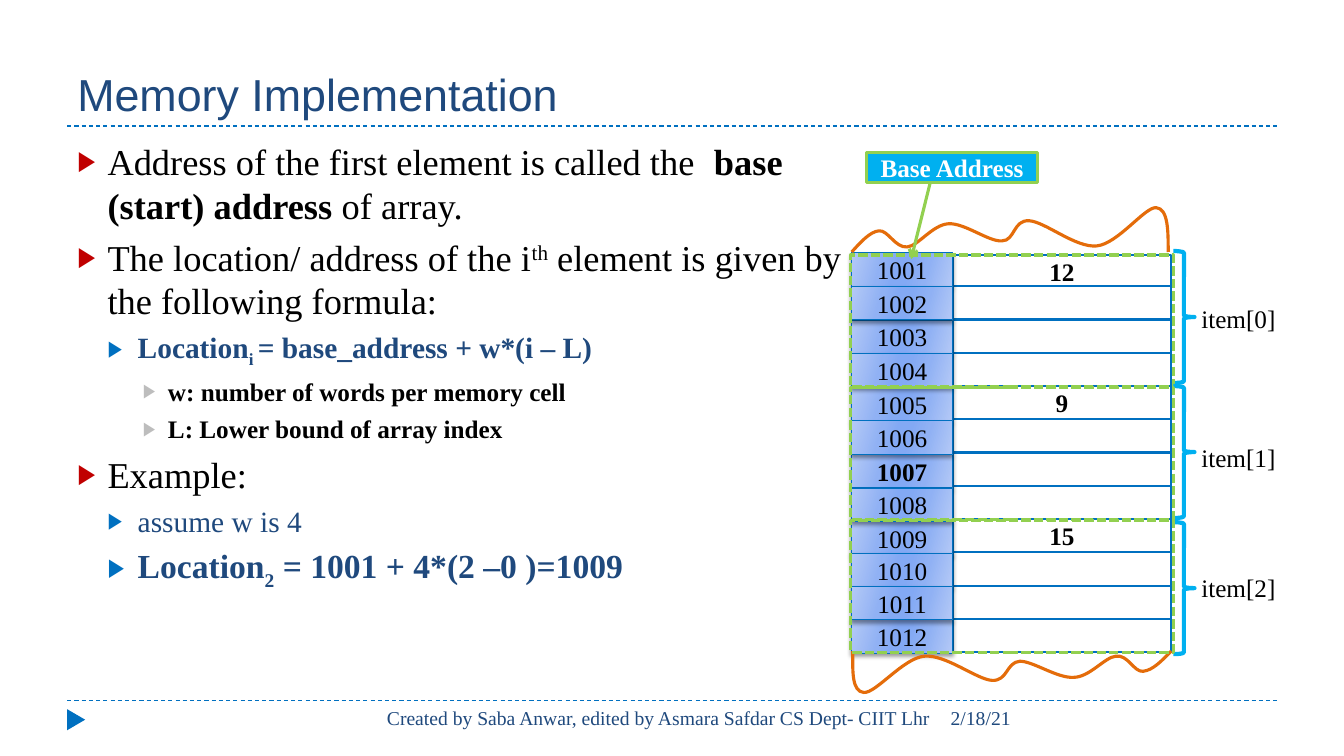
from dataclasses import dataclass
from typing import NamedTuple

import lxml.etree
import pptx
import pptx.dml.color
import pptx.enum.dml
import pptx.enum.shapes
import pptx.enum.text
import pptx.oxml.ns
import pptx.util

Inches, Pt, qn = pptx.util.Inches, pptx.util.Pt, pptx.oxml.ns.qn
SHAPE = pptx.enum.shapes.MSO_SHAPE
DASH = pptx.enum.dml.MSO_LINE
ALIGN = pptx.enum.text.PP_ALIGN
ANCHOR = pptx.enum.text.MSO_ANCHOR

COLORS = {
    "navy": "1F497D", "blue": "0070C0", "sky": "00B0F0", "green": "92D050",
    "orange": "E46C0A", "red": "C00000", "gray": "BDBDBD", "black": "000000",
    "white": "FFFFFF", "pale": "B4C9F6", "mid": "90B1F4", "deep": "83A9F4",
}
ADDRESS_STOPS = [(0, "pale"), (30, "mid"), (45, "deep"), (55, "deep"), (73, "mid"), (100, "pale")]
MARGIN = 2 / 3


class Level(NamedTuple):
    """Bullet format of one outline level, in inches and points."""
    indent: float
    hanging: float
    before: int
    bullet: str


@dataclass
class Point:
    """One bulleted line; a run is a text, its baseline shift and maybe a bold mark."""
    level: int
    runs: list
    size: int
    color: str = "black"
    bold: bool = False


class Item(NamedTuple):
    """One array element and the tops of its frame, brace and label."""
    label: str
    value: str
    frame_top: float
    brace_top: float
    label_top: float


LEVELS = [Level(0.3, 0.3, 6, "red"), Level(0.6, 0.3, 5, "blue"), Level(0.9, 0.25, 5, "gray")]
POINTS = [
    Point(0, [("Address of the first element is called the  ", 0), ("base (start) address ", 0, True),
              ("of array.", 0)], 26),
    Point(0, [("The location/ address of the i", 0), ("th", 30),
              (" element is given by the following formula:", 0)], 26),
    Point(1, [("Location", 0), ("i ", -25), ("= base_address + w*(i – L)", 0)], 21, "navy", True),
    Point(2, [("w: number of words per memory cell ", 0)], 18, bold=True),
    Point(2, [("L: Lower bound of array index", 0)], 18, bold=True),
    Point(0, [("Example: ", 0)], 26),
    Point(1, [("assume w is 4", 0)], 21, "navy"),
    Point(1, [("Location", 0), ("2", -25), (" = 1001 + 4*(2 –0 )=1009", 0)], 24, "navy", True),
]
ITEMS = [Item("item[0]", "12", 2.53, 2.49, 2.96), Item("item[1]", "9", 3.84, 3.83, 4.34),
         Item("item[2]", "15", 5.16, 5.18, 5.63)]
WORDS_PER_ITEM = 4
# Later cells overlap earlier ones, so the order decides which shadows show.
ADDRESS_ORDER = [1001, 1012, 1003, 1002, 1005, 1004, 1007, 1006, 1009, 1008, 1010, 1011]
# Each torn edge is a start point followed by cubic segments.
TORN_TOP = [(8.45, 2.5),
            (8.54, 2.4), (8.63, 2.3), (8.72, 2.29), (8.81, 2.28), (8.88, 2.46), (9, 2.45),
            (9.11, 2.44), (9.25, 2.23), (9.41, 2.22), (9.57, 2.21), (9.81, 2.4), (9.94, 2.39),
            (10.07, 2.39), (10.05, 2.18), (10.21, 2.19), (10.37, 2.2), (10.67, 2.46), (10.88, 2.44),
            (11.09, 2.42), (11.36, 2.05), (11.47, 2.06), (11.59, 2.07), (11.59, 2.29), (11.59, 2.5)]
TORN_BOTTOM = [(11.62, 6.46),
               (11.53, 6.55), (11.44, 6.65), (11.34, 6.66), (11.25, 6.67), (11.19, 6.49), (11.07, 6.51),
               (10.96, 6.52), (10.81, 6.72), (10.65, 6.72), (10.49, 6.73), (10.25, 6.56), (10.12, 6.56),
               (9.98, 6.57), (10, 6.76), (9.84, 6.75), (9.69, 6.74), (9.38, 6.49), (9.17, 6.51),
               (8.96, 6.53), (8.69, 6.88), (8.57, 6.87), (8.45, 6.86), (8.46, 6.66), (8.46, 6.46)]


def rgb(name: str):
    """Return the named colour."""
    return pptx.dml.color.RGBColor.from_string(COLORS[name])


def add_xml(parent, tag: str, **attributes):
    """Append a DrawingML element to parent."""
    return lxml.etree.SubElement(parent, qn(tag), attributes)


def write(paragraph, text: str, *, size=18, color="black", bold=False, font="Times New Roman",
          baseline=0, align=ALIGN.LEFT) -> None:
    """Add a formatted run to a paragraph."""
    paragraph.alignment = align
    run = paragraph.add_run()
    run.text = text
    run.font.size, run.font.name, run.font.bold = Pt(size), font, bold
    run.font.color.rgb = rgb(color)
    if baseline:
        run.font._element.set("baseline", str(baseline * 1000))


def place(shape, *box: float) -> None:
    """Move and resize a placeholder."""
    shape.left, shape.top, shape.width, shape.height = map(Inches, box)


def style(shape, fill=None, line=None, weight=1.5, dash=None):
    """Set fill and outline and drop the shadow."""
    shape.shadow.inherit = False
    shape.fill.background()
    if fill:
        shape.fill.solid()
        shape.fill.fore_color.rgb = rgb(fill)
    shape.line.fill.background()
    if line:
        shape.line.color.rgb, shape.line.width, shape.line.dash_style = rgb(line), Pt(weight), dash
    return shape


def add_box(kind, *box: float, **look):
    """Add a styled preset shape."""
    return style(slide.shapes.add_shape(kind, *map(Inches, box)), **look)


def add_caption(box, text: str, **text_format) -> None:
    """Centre a text in a shape."""
    box.text_frame.vertical_anchor = ANCHOR.MIDDLE
    write(box.text_frame.paragraphs[0], text, align=ALIGN.CENTER, **text_format)


def add_label(text: str, left, top, width, *, wrap=True, **text_format) -> None:
    """Add a one-line text box."""
    frame = slide.shapes.add_textbox(*map(Inches, (left, top, width, 0.4))).text_frame
    frame.word_wrap = wrap
    write(frame.paragraphs[0], text, **text_format)


def add_rule(top: float) -> None:
    """Add a dashed rule across the slide."""
    rule = slide.shapes.add_connector(pptx.enum.shapes.MSO_CONNECTOR.STRAIGHT,
                                      *map(Inches, (MARGIN, top, MARGIN + 12, top)))
    rule.line.color.rgb, rule.line.width, rule.line.dash_style = rgb("blue"), Pt(0.75), DASH.DASH
    add_xml(rule._element.spPr, "a:effectLst")


def add_address(address: int) -> None:
    """Add a shaded address cell with a soft shadow."""
    row = address - 1001
    top = 2.51 + row / 3 if row <= 8 else 2.52 + 0.33 * row
    cell = add_box(SHAPE.RECTANGLE, 8.45, top, 1, 0.33, line="blue", weight=0.75)
    cell.fill.gradient()
    cell.fill.gradient_angle = 344
    stops = cell._element.spPr.find(".//" + qn("a:gsLst"))
    stops.clear()
    for position, color in ADDRESS_STOPS:
        add_xml(add_xml(stops, "a:gs", pos=str(position * 1000)), "a:srgbClr", val=COLORS[color])
    shadow = add_xml(cell._element.spPr.find(qn("a:effectLst")), "a:outerShdw", blurRad=str(Pt(3)),
                     dist=str(Pt(2)), dir="5400000", rotWithShape="0")
    add_xml(add_xml(shadow, "a:srgbClr", val=COLORS["black"]), "a:alpha", val="40000")
    add_caption(cell, str(address), bold=address == 1007)


def add_torn_edge(points: list) -> None:
    """Draw a chain of cubic curves as one open outline."""
    builder = slide.shapes.build_freeform(*map(Inches, points[0]))
    builder.add_line_segments([tuple(map(Inches, point)) for point in points[1:]], close=False)
    edge = style(builder.convert_to_shape(), line="orange", weight=2.25)
    outline_xml = edge._element.spPr.find(".//" + qn("a:path"))
    segments = outline_xml.findall(qn("a:lnTo"))
    for first in range(0, len(segments), 3):
        curve = add_xml(outline_xml, "a:cubicBezTo")
        for segment in segments[first:first + 3]:
            curve.append(segment[0])
            outline_xml.remove(segment)


def add_point(paragraph, point: Point) -> None:
    """Write one bulleted line."""
    level = LEVELS[point.level]
    paragraph.level, paragraph.space_before = point.level, Pt(level.before)
    for text, baseline, *strong in point.runs:
        write(paragraph, text, size=point.size, color=point.color, bold=point.bold or bool(strong), baseline=baseline)
    properties = paragraph._p.get_or_add_pPr()
    properties.set("marL", str(Inches(level.indent)))
    properties.set("indent", str(-Inches(level.hanging)))
    add_xml(add_xml(properties, "a:buClr"), "a:srgbClr", val=COLORS[level.bullet])
    add_xml(properties, "a:buSzPct", val="76000")
    add_xml(properties, "a:buFont", typeface="Arial")
    add_xml(properties, "a:buChar", char="▶")


deck = pptx.Presentation()
deck.slide_width, deck.slide_height = Inches(40 / 3), Inches(7.5)
slide = deck.slides.add_slide(deck.slide_layouts[1])
for rule_top in (6.95, 1.25):
    add_rule(rule_top)
add_box(SHAPE.ISOSCELES_TRIANGLE, 0.65, 7.05, 0.21, 0.18, fill="blue").rotation = 90
heading, outline = slide.shapes.title, slide.placeholders[1]
place(heading, MARGIN, 0.17, 12, 1.08)
heading.text_frame.vertical_anchor = ANCHOR.BOTTOM
write(heading.text_frame.paragraphs[0], "Memory Implementation", size=32, color="navy", font="Arial")
place(outline, MARGIN, 1.33, 7.79, 5.4)
outline.text_frame.auto_size = pptx.enum.text.MSO_AUTO_SIZE.NONE
for number, point in enumerate(POINTS):
    add_point(outline.text_frame.add_paragraph() if number else outline.text_frame.paragraphs[0], point)
for row in range(len(ITEMS) * WORDS_PER_ITEM):
    value_cell = add_box(SHAPE.RECTANGLE, 9.45, max(2.53, 2.51 + 0.33 * row), 2.17, 0.33, fill="white", line="blue")
    if row % WORDS_PER_ITEM == 0:
        add_caption(value_cell, ITEMS[row // WORDS_PER_ITEM].value, bold=True)
for address in ADDRESS_ORDER:
    add_address(address)
for edge_points in (TORN_TOP, TORN_BOTTOM):
    add_torn_edge(edge_points)
for item in ITEMS:
    add_box(SHAPE.RIGHT_BRACE, 11.64, item.brace_top, 0.21, 1.31, line="sky", weight=3)
    add_label(item.label, 11.82, item.label_top, 0.95, wrap=False)
    add_box(SHAPE.RECTANGLE, 8.44, item.frame_top, 3.2, 1.31, line="green", weight=2.25, dash=DASH.SQUARE_DOT)
base_address = add_box(SHAPE.LINE_CALLOUT_1, 8.6, 1.51, 1.69, 0.3, fill="sky", line="green", weight=2.25)
for index, ratio in enumerate((1.05, 0.37, 3.54, 0.26)):
    base_address.adjustments[index] = ratio
add_xml(base_address.line._get_or_add_ln(), "a:tailEnd", type="arrow")
add_caption(base_address, "Base Address", color="white", bold=True)
add_label("Created by Saba Anwar, edited by Asmara Safdar CS Dept- CIIT Lhr", 2.93, 6.95, 6.4,
          size=14, color="navy", align=ALIGN.RIGHT)
add_label("2/18/21", 28 / 3, 6.95, 3.34, size=14, color="navy")
deck.save("out.pptx")
